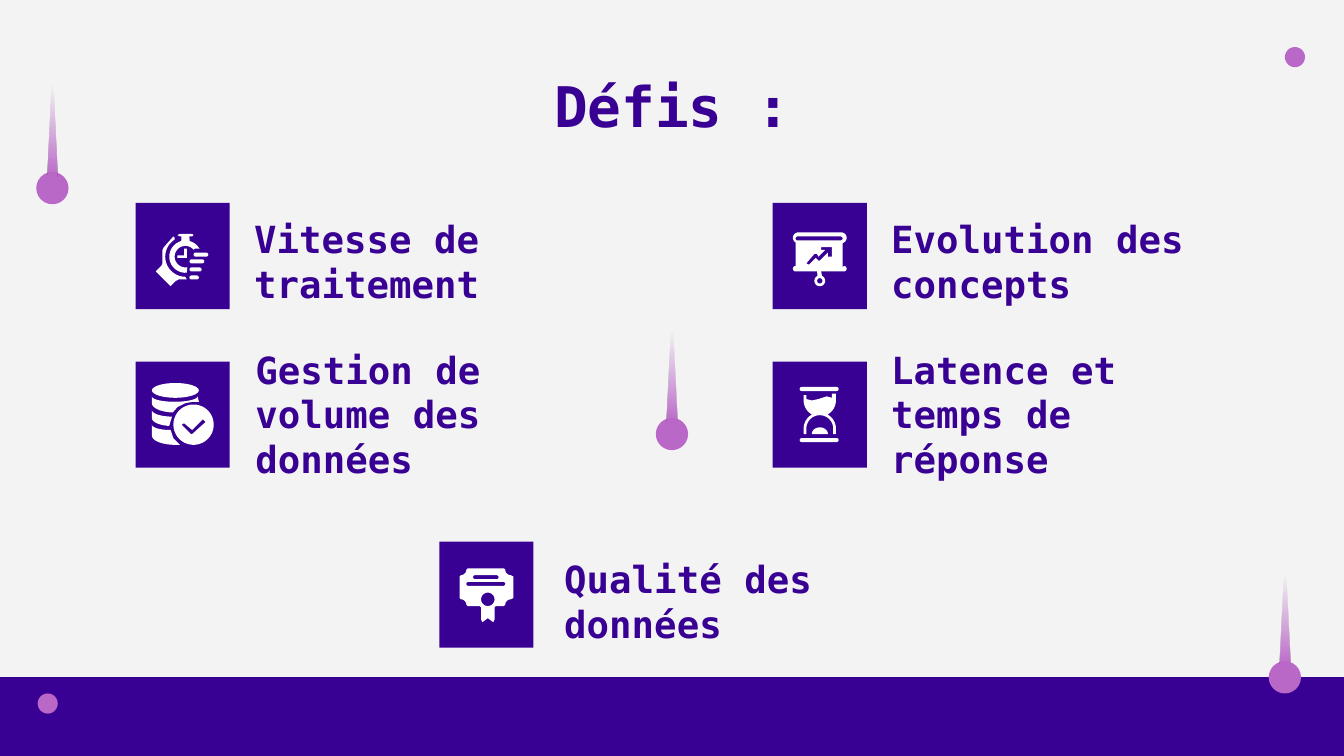
from dataclasses import dataclass
from math import cos, radians, sin

from pptx import Presentation
from pptx.dml.color import RGBColor
from pptx.enum.shapes import MSO_SHAPE as Shape
from pptx.enum.text import MSO_ANCHOR as Anchor, MSO_AUTO_SIZE as AutoSize, PP_ALIGN as Align
from pptx.oxml import parse_xml
from pptx.oxml.ns import nsdecls
from pptx.util import Inches, Pt


@dataclass(frozen=True)
class Theme:
    background: str = "F3F3F3"
    purple: str = "380093"
    lilac: str = "BA68C8"
    white: str = "FFFFFF"
    font: str = "DejaVu Sans Mono"
    title_size: int = 30
    body_size: int = 20


THEME = Theme()
TILE = (0.7, 0.79)

# Text, text frame (left, top, width, height), tile position
CHALLENGES = [
    ("Vitesse de traitement", (1.79, 1.5, 2.46, 0.88), (1.01, 1.51)),
    ("Gestion de volume des données", (1.8, 2.64, 2.98, 0.88), (1.01, 2.69)),
    ("Evolution des concepts", (6.53, 1.5, 2.46, 0.88), (5.75, 1.51)),
    ("Latence et temps de réponse", (6.53, 2.64, 2.85, 0.88), (5.75, 2.69)),
    ("Qualité des données", (4.1, 4.03, 2.63, 0.88), (3.27, 4.03)),
]


# Geometry
def arc(x, y, radius, start, end, ry=None):
    """Points on an elliptic arc; angles in degrees, clockwise from the right."""
    ry = ry or radius
    steps = max(4, round(abs(end - start) / 8))
    angles = [radians(start + (end - start) * i / steps) for i in range(steps + 1)]
    return [(x + radius * cos(a), y + ry * sin(a)) for a in angles]


def capsule(x, y, width, height):
    r = height / 2
    return arc(x + r, y + r, r, 90, 270) + arc(x + width - r, y + r, r, -90, 90)


# Shapes
def paint(shape, color):
    shape.shadow.inherit = False
    shape.fill.solid()
    shape.fill.fore_color.rgb = RGBColor.from_string(color)
    shape.line.fill.background()
    return shape


def add_preset(shapes, kind, frame, color):
    return paint(shapes.add_shape(kind, *map(Inches, frame)), color)


def add_bar(shapes, *frame):
    bar = add_preset(shapes, Shape.ROUNDED_RECTANGLE, frame, THEME.white)
    bar.adjustments[0] = 0.5


def add_outline(shapes, *contours):
    """One white shape; contours after the first one are holes."""
    first, *holes = [[(Inches(x), Inches(y)) for x, y in c] for c in contours]
    builder = shapes.build_freeform(*first[0], scale=1.0)
    builder.add_line_segments(first[1:])
    for hole in holes:
        builder.move_to(*hole[0])
        builder.add_line_segments(hole[1:])
    paint(builder.convert_to_shape(), THEME.white)


def add_pin(page, left, top):
    """A lilac dot under a fading tail."""
    shapes = page.shapes.add_group_shape().shapes
    add_preset(shapes, Shape.OVAL, (left, top + 0.82, 0.24, 0.24), THEME.lilac)
    tail = shapes.add_shape(Shape.ISOSCELES_TRIANGLE,
                            *map(Inches, (left + 0.08, top, 0.08, 0.87)))
    tail.shadow.inherit = False
    tail.line.fill.background()
    stops = "".join(
        f'<a:gs pos="{place}000"><a:srgbClr val="{THEME.lilac}">'
        f'<a:alpha val="{alpha}000"/></a:srgbClr></a:gs>'
        for place, alpha in ((0, 100), (80, 0), (100, 0)))
    tail._element.spPr.insert(2, parse_xml(
        f'<a:gradFill {nsdecls("a")}><a:gsLst>{stops}</a:gsLst>'
        '<a:lin ang="16200000" scaled="0"/></a:gradFill>'))


# Text
def set_text(box, text, frame, size, anchor, align):
    box.left, box.top, box.width, box.height = map(Inches, frame)
    body = box.text_frame
    body.text = text
    body.word_wrap = True
    body.auto_size = AutoSize.NONE
    body.vertical_anchor = anchor
    body.margin_left = body.margin_right = Inches(0.1)
    body.margin_top = body.margin_bottom = Inches(0.1)
    para = body.paragraphs[0]
    properties = para._p.get_or_add_pPr()
    properties.set("marL", "0")
    properties.set("indent", "0")
    properties.append(parse_xml(f'<a:buNone {nsdecls("a")}/>'))
    para.alignment = align
    para.space_before = Pt(0)
    font = para.runs[0].font
    font.name, font.size, font.bold = THEME.font, Pt(size), True
    font.color.rgb = RGBColor.from_string(THEME.purple)


# Icons
def draw_stopwatch(shapes):
    x, y = 1.38, 1.91
    add_outline(shapes, [(1.32, 1.75), (1.34, 1.76), (1.35, 1.76)]
                + arc(x, y, 0.12, 255, 85) + arc(x, y, 0.08, 80, 320)
                + [(1.45, 1.85), (1.49, 1.85)] + arc(x, y, 0.12, 330, 285)
                + [(1.41, 1.76), (1.43, 1.76), (1.44, 1.75), (1.43, 1.74), (1.34, 1.74)])
    add_outline(shapes, [(1.37, 1.85), (1.39, 1.85), (1.39, 1.92),
                         (1.32, 1.92), (1.32, 1.9), (1.37, 1.9)])
    for left, top, width in ((1.44, 1.88, 0.11), (1.41, 1.93, 0.11),
                             (1.41, 1.99, 0.09), (1.41, 2.05, 0.07)):
        add_bar(shapes, left, top, width, 0.03)
    add_outline(shapes, [(1.29, 1.76), (1.22, 1.84), (1.21, 1.86), (1.21, 1.96),
                         (1.2, 1.98), (1.16, 2.02), (1.17, 2.03), (1.26, 2.12),
                         (1.27, 2.13), (1.31, 2.09), (1.33, 2.08), (1.39, 2.08)]
                + arc(x, y, 0.15, 90, 238) + [(1.3, 1.77)])


def draw_database(shapes):
    add_preset(shapes, Shape.OVAL, (1.13, 2.85, 0.35, 0.11), THEME.white)
    add_outline(shapes, arc(1.3, 3, 0.17, 180, 95, 0.07)
                + [(1.32, 3.03), (1.38, 3), (1.44, 2.99), (1.48, 2.99)]
                + arc(1.3, 2.95, 0.17, 0, 180, 0.04))
    add_outline(shapes, arc(1.28, 3.11, 0.15, 180, 98, 0.06)
                + [(1.28, 3.1)] + arc(1.28, 3.05, 0.15, 90, 180, 0.05))
    add_outline(shapes, arc(1.3, 3.24, 0.17, 180, 90, 0.07)
                + [(1.34, 3.31), (1.29, 3.26)] + arc(1.27, 3.16, 0.14, 90, 180, 0.04))
    check = [(1.51, 3.12), (1.53, 3.14), (1.43, 3.23), (1.42, 3.23),
             (1.35, 3.16), (1.37, 3.15), (1.43, 3.2)]
    add_outline(shapes, arc(1.44, 3.16, 0.15, 0, 360), check)


def draw_board(shapes):
    trend = [(6.11, 1.84), (6.19, 1.84), (6.19, 1.91), (6.16, 1.91), (6.16, 1.88),
             (6.1, 1.94), (6.09, 1.94), (6.07, 1.92), (6.02, 1.97), (6, 1.96),
             (6.06, 1.89), (6.08, 1.89), (6.09, 1.91), (6.14, 1.86), (6.11, 1.86)]
    board = (arc(6.26, 1.77, 0.04, 270, 420) + [(6.27, 1.81), (6.27, 1.99)]
             + arc(6.28, 2, 0.02, 270, 450) + [(6.11, 2.02)]
             + arc(6.1, 2.09, 0.04, -65, 245) + [(6.08, 2.02)]
             + arc(5.92, 2, 0.02, 90, 270) + [(5.92, 1.99), (5.92, 1.81)]
             + arc(5.94, 1.77, 0.04, 120, 270))
    add_outline(shapes, board, capsule(5.92, 1.76, 0.35, 0.03), trend,
                arc(6.1, 2.09, 0.02, 0, 360))


def draw_hourglass(shapes):
    x, upper, lower = 6.1, 2.98, 3.19
    add_outline(shapes, arc(x, 3.23, 0.06, 180, 360, 0.05))
    add_outline(shapes, [(6.19, 2.93), (6.19, 2.96), (6.15, 2.95), (6.09, 2.97),
                         (6.04, 2.98), (6, 2.97), (6, 2.94), (5.98, 2.94)]
                + arc(x, upper, 0.12, 180, 120) + arc(x, lower, 0.12, 240, 180)
                + [(5.98, 3.23), (6, 3.23)] + arc(x, lower, 0.1, 180, 360)
                + [(6.2, 3.23), (6.22, 3.23)] + arc(x, lower, 0.12, 360, 300)
                + arc(x, upper, 0.12, 60, 0) + [(6.22, 2.93)])
    for top in (2.88, 3.26):
        add_bar(shapes, 5.95, top, 0.29, 0.03)


def draw_diploma(shapes):
    ribbon = [(3.68, 4.52), (3.68, 4.61), (3.67, 4.63), (3.63, 4.6),
              (3.59, 4.63), (3.58, 4.61), (3.58, 4.52), (3.57, 4.51)]
    sheet = (arc(3.43, 4.5, 0.04, 360, 270) + [(3.42, 4.45), (3.42, 4.29)]
             + arc(3.43, 4.24, 0.04, 90, 0) + [(3.48, 4.23), (3.75, 4.23)]
             + arc(3.8, 4.24, 0.04, 180, 90) + [(3.82, 4.29), (3.82, 4.45)]
             + arc(3.8, 4.5, 0.04, 270, 180) + [(3.75, 4.51), (3.69, 4.51)])
    add_outline(shapes, sheet + ribbon + [(3.48, 4.51)],
                capsule(3.52, 4.28, 0.19, 0.03), capsule(3.47, 4.33, 0.29, 0.03),
                arc(3.63, 4.46, 0.05, 0, 360))


def main():
    deck = Presentation()
    deck.slide_width = Inches(10)
    deck.slide_height = Inches(10) * 9 // 16
    page = deck.slides.add_slide(deck.slide_layouts[4])
    page.background.fill.solid()
    page.background.fill.fore_color.rgb = RGBColor.from_string(THEME.background)

    # Footer band
    band = add_preset(page.shapes, Shape.RECTANGLE, (0, 5.04, 10, 0.59), THEME.purple)
    band.line.color.rgb = RGBColor.from_string(THEME.purple)
    band.line.width = Pt(0.75)

    # Title and challenges; the layout has four bodies, the fifth is a text box
    title, *boxes = page.placeholders
    boxes.append(page.shapes.add_textbox(0, 0, 0, 0))
    set_text(title, "Défis :", (0.78, 0.42, 8.44, 0.71), THEME.title_size,
             Anchor.BOTTOM, Align.CENTER)
    for box, (text, frame, tile) in zip(boxes, CHALLENGES):
        set_text(box, text, frame, THEME.body_size, Anchor.MIDDLE, Align.LEFT)
        add_preset(page.shapes, Shape.RECTANGLE, tile + TILE, THEME.purple)

    # Decoration
    for left, top in ((9.44, 4.1), (0.27, 0.46), (4.88, 2.29)):
        add_pin(page, left, top)
    for left, top in ((9.56, 0.35), (0.28, 5.16)):
        add_preset(page.shapes, Shape.OVAL, (left, top, 0.15, 0.15), THEME.lilac)

    # Icons on the tiles
    for draw in (draw_stopwatch, draw_database, draw_board, draw_hourglass, draw_diploma):
        draw(page.shapes.add_group_shape().shapes)

    deck.save("out.pptx")


if __name__ == "__main__":
    main()
